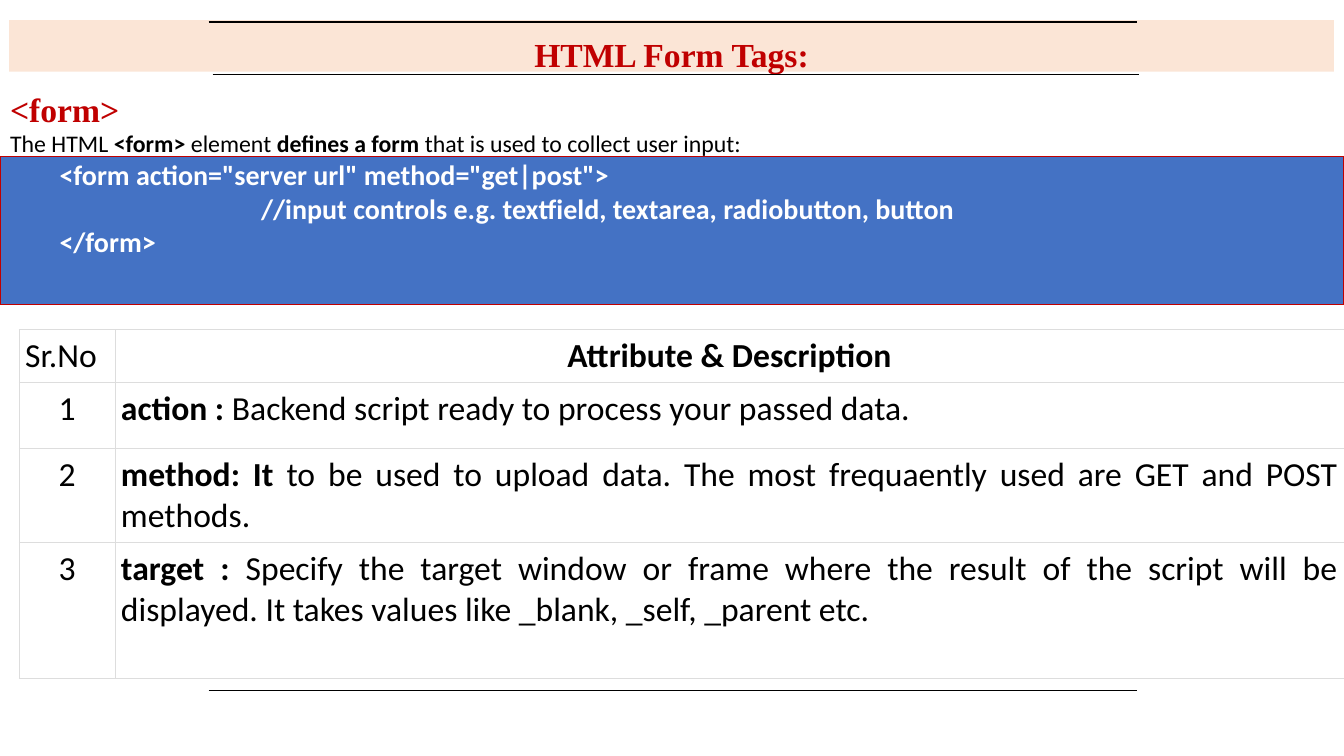
from lxml.etree import SubElement
from pptx import Presentation
from pptx.dml.color import RGBColor
from pptx.enum.shapes import MSO_CONNECTOR, MSO_SHAPE
from pptx.enum.text import MSO_ANCHOR, MSO_AUTO_SIZE, PP_ALIGN
from pptx.oxml import parse_xml
from pptx.oxml.ns import nsdecls, qn
from pptx.util import Emu, Pt

PX = 9144  # EMU in one px, 100 px to the inch
BLACK = RGBColor(0x00, 0x00, 0x00)
WHITE = RGBColor(0xFF, 0xFF, 0xFF)
RED = RGBColor(0xC0, 0x00, 0x00)
BLUE = RGBColor(0x44, 0x72, 0xC4)
PEACH = RGBColor(0xFB, 0xE5, 0xD6)
GRID_GREY = RGBColor(0xDD, 0xDD, 0xDD)
SERIF = "Times New Roman"
SANS = "Calibri"


def px(count):
    return Emu(count * PX)


def write_text(para, text, size=24, font=SANS, color=BLACK,
               align=PP_ALIGN.LEFT, spacing=1.0, indent=0):
    """Fill a paragraph; the parts between ** marks are bold."""
    para.alignment = align
    para.line_spacing = spacing
    para.space_before = para.space_after = Pt(0)
    properties = para._p.get_or_add_pPr()
    properties.set("marL", str(px(indent)))
    properties.set("indent", "0")
    SubElement(properties, qn("a:buNone"))
    for number, part in enumerate(text.split("**")):
        if part:
            span = para.add_run()
            span.text = part
            span.font.name = font
            span.font.size = Pt(size)
            span.font.bold = number % 2 == 1
            span.font.color.rgb = color


class SlideBuilder:
    heading = dict(size=24, font=SERIF, color=RED, spacing=1.07)
    code = dict(size=20, color=WHITE)

    def __init__(self, page):
        self.page = page

    def place(self, box, left, top, width, height):
        box.left, box.top = px(left), px(top)
        box.width, box.height = px(width), px(height)

    def frame(self, box, left, top, right, bottom):
        frame = box.text_frame
        frame.word_wrap = True
        frame.auto_size = MSO_AUTO_SIZE.NONE
        frame.vertical_anchor = MSO_ANCHOR.TOP
        frame.margin_left, frame.margin_top = px(left), px(top)
        frame.margin_right, frame.margin_bottom = px(right), px(bottom)
        return frame

    def title(self, text, area, fill):
        box = self.page.shapes.title
        self.place(box, *area)
        box.fill.solid()
        box.fill.fore_color.rgb = fill
        frame = self.frame(box, 0, 11, 0, 0)
        write_text(frame.paragraphs[0], text, align=PP_ALIGN.CENTER, **self.heading)

    def panel(self, area, fill, line):
        box = self.page.shapes.add_shape(MSO_SHAPE.RECTANGLE, *map(px, area))
        box.shadow.inherit = False
        box.fill.solid()
        box.fill.fore_color.rgb = fill
        box.line.color.rgb = line
        box.line.width = Pt(1)

    def body(self, lines, area):
        box = self.page.placeholders[1]
        self.page.shapes.element.append(box.element)  # in front of the panel
        self.place(box, *area)
        frame = self.frame(box, 9, 4, 9, 4)
        for number, (text, style) in enumerate(lines):
            para = frame.add_paragraph() if number else frame.paragraphs[0]
            write_text(para, text, **style)

    def rule(self, left, right, top, width):
        line = self.page.shapes.add_connector(
            MSO_CONNECTOR.STRAIGHT, px(left), px(top), px(right), px(top))
        line.line.color.rgb = BLACK
        line.line.width = Pt(width)
        SubElement(line.element.spPr, qn("a:effectLst"))

    def cell(self, cell, text, align):
        cell.margin_left = cell.margin_right = px(6)
        cell.margin_top = cell.margin_bottom = px(6)
        cell.fill.solid()
        cell.fill.fore_color.rgb = WHITE
        write_text(cell.text_frame.paragraphs[0], text, align=align)
        properties = cell._tc.get_or_add_tcPr()
        for position, side in enumerate(("lnL", "lnR", "lnT", "lnB")):
            properties.insert(position, parse_xml(
                f'<a:{side} {nsdecls("a")} w="{Pt(0.6)}"><a:solidFill>'
                f'<a:srgbClr val="{GRID_GREY}"/></a:solidFill></a:{side}>'))

    def table(self, rows, aligns, left, top, widths, heights):
        table = self.page.shapes.add_table(
            len(rows), len(widths), px(left), px(top),
            px(sum(widths)), px(sum(heights))).table
        table.first_row = table.horz_banding = False
        for column, width in zip(table.columns, widths):
            column.width = px(width)
        for row, height, texts, row_aligns in zip(table.rows, heights, rows, aligns):
            row.height = px(height)
            for cell, text, align in zip(row.cells, texts, row_aligns):
                self.cell(cell, text, align)


def main():
    deck = Presentation()
    deck.slide_width, deck.slide_height = px(1333), px(750)
    page = deck.slides.add_slide(deck.slide_layouts[1])
    builder = SlideBuilder(page)

    # Title band and rules
    builder.title("**HTML Form Tags:**", (9, 20, 1314, 51), PEACH)
    for left, right, top, width in ((207, 1128, 22, 0.96),
                                    (211, 1130, 74, 0.5),
                                    (207, 1128, 685, 0.96)):
        builder.rule(left, right, top, width)

    # Form element with its code panel
    builder.panel((0, 155, 1333, 147), BLUE, RED)
    code = builder.code
    builder.body([
        ("**<form>**", dict(builder.heading, indent=1)),
        ("The HTML **<form>** element **defines a form** that is used to "
         "collect user input:", dict(size=17, indent=1)),
        ('**<form action="server url" method="get|post">**', dict(code, indent=50)),
        ("**//input controls e.g. textfield, textarea, radiobutton, button**",
         dict(code, indent=250)),
        ("**</form>**", dict(code, indent=50)),
    ], (0, 81, 1314, 210))

    # Attribute table
    rows = [
        ("Sr.No", "**Attribute & Description**"),
        ("1", "**action : **Backend script ready to process your passed data."),
        ("2", "**method: It** to be used to upload data. The most frequaently "
              "used are GET and POST methods."),
        ("3", "**target : **Specify the target window or frame where the result "
              "of the script will be displayed. It takes values like _blank, "
              "_self, _parent etc."),
    ]
    aligns = [(PP_ALIGN.LEFT, PP_ALIGN.CENTER)] + 3 * [(PP_ALIGN.CENTER, PP_ALIGN.JUSTIFY)]
    builder.table(rows, aligns, 19, 327, (95, 1219), (52, 65, 92, 135))

    deck.save("out.pptx")


if __name__ == "__main__":
    main()
